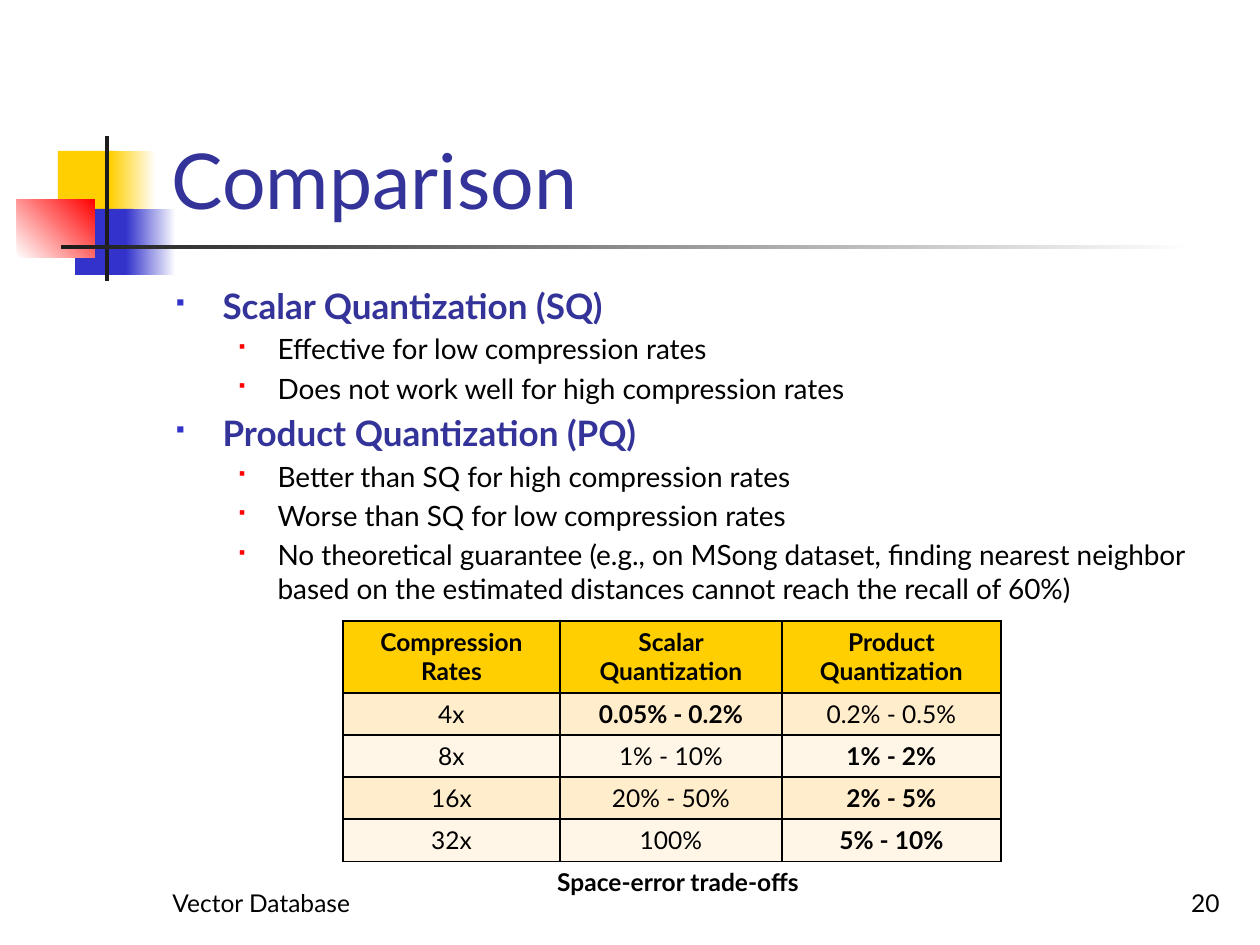
from lxml.etree import SubElement
from pptx import Presentation
from pptx.dml.color import RGBColor
from pptx.enum.shapes import MSO_SHAPE as Shape
from pptx.enum.text import MSO_ANCHOR as Anchor, MSO_AUTO_SIZE as AutoSize, PP_ALIGN as Align
from pptx.oxml.ns import qn
from pptx.util import Emu, Pt

PX_PER_INCH = 126
FONT = "Lato"
WHITE = RGBColor(0xFF, 0xFF, 0xFF)
BLACK = RGBColor(0, 0, 0)
CHARCOAL = RGBColor(0x1C, 0x1C, 0x1C)
GOLD = RGBColor(0xFF, 0xCF, 0x01)
BLUE = RGBColor(0x33, 0x33, 0xCC)
NAVY = RGBColor(0x33, 0x33, 0x99)
RED = RGBColor(0xFF, 0, 0)
SAND = RGBColor(0xFF, 0xED, 0xCC)
CREAM = RGBColor(0xFF, 0xF6, 0xE7)

# Per list level: indent px, hanging px, size, bold, colour, bullet colour, bullet %
LEVELS = [
    (47, 47, 20, True, NAVY, BLUE, 60),
    (102, 39, 16, False, BLACK, RED, 55),
]


def px(length):
    return Emu(round(length * 914400 / PX_PER_INCH))


class SlideBuilder:
    def __init__(self, deck):
        self.slide = deck.slides.add_slide(deck.slide_layouts[1])

    def add_text(self, paragraph, text, size, color=BLACK, bold=False, align=Align.LEFT):
        paragraph.alignment = align
        run = paragraph.add_run()
        run.text = text
        run.font.name = FONT
        run.font.size = Pt(size)
        run.font.bold = bold
        run.font.color.rgb = color

    def place(self, shape, box):
        shape.left, shape.top, shape.width, shape.height = map(px, box)

    def block(self, box, start, end=None, angle=0):
        block = self.slide.shapes.add_shape(Shape.RECTANGLE, *map(px, box))
        block.shadow.inherit = False
        block.line.fill.background()
        if end is None:
            block.fill.solid()
            block.fill.fore_color.rgb = start
            return
        block.fill.gradient()
        block.fill.gradient_angle = angle
        for stop, color, position in zip(block.fill.gradient_stops, (start, end), (0, 1)):
            stop.color.rgb = color
            stop.position = position

    def title(self, box, text):
        title = self.slide.shapes.title
        self.place(title, box)
        frame = title.text_frame
        frame.auto_size = AutoSize.NONE
        frame.vertical_anchor = Anchor.BOTTOM
        self.add_text(frame.paragraphs[0], text, 44, NAVY)

    def bullets(self, box, items):
        body = self.slide.placeholders[1]
        self.place(body, box)
        frame = body.text_frame
        frame.auto_size = AutoSize.NONE
        for index, (level, text) in enumerate(items):
            indent, hanging, size, bold, color, mark_color, mark_size = LEVELS[level]
            paragraph = frame.add_paragraph() if index else frame.paragraphs[0]
            paragraph.level = level
            paragraph.space_before = Pt(size * 0.2 if index else 0)
            props = paragraph._p.get_or_add_pPr()
            props.set("marL", str(px(indent)))
            props.set("indent", str(-px(hanging)))
            mark = SubElement(props, qn("a:buClr"))
            SubElement(mark, qn("a:srgbClr"), val=str(mark_color))
            SubElement(props, qn("a:buSzPct"), val=str(mark_size * 1000))
            SubElement(props, qn("a:buFont"), typeface="Wingdings")
            SubElement(props, qn("a:buChar"), char="§")
            self.add_text(paragraph, text, size, color, bold)

    def label(self, box, text, bold=False, align=Align.LEFT, anchor=Anchor.BOTTOM):
        frame = self.slide.shapes.add_textbox(*map(px, box)).text_frame
        frame.word_wrap = True
        frame.vertical_anchor = anchor
        self.add_text(frame.paragraphs[0], text, 14, bold=bold, align=align)

    def table(self, left, top, widths, heights, rows, bold_cells):
        box = (left, top, sum(widths), sum(heights))
        table = self.slide.shapes.add_table(len(rows), len(widths), *map(px, box)).table
        table.first_row = table.horz_banding = False
        for column, width in zip(table.columns, widths):
            column.width = px(width)
        for r, (values, height) in enumerate(zip(rows, heights)):
            table.rows[r].height = px(height)
            fill = GOLD if r == 0 else (CREAM, SAND)[r % 2]
            for c, text in enumerate(values):
                cell = table.cell(r, c)
                self.border(cell)
                cell.fill.solid()
                cell.fill.fore_color.rgb = fill
                bold = r == 0 or (r, c) in bold_cells
                self.add_text(cell.text_frame.paragraphs[0], text, 14, bold=bold, align=Align.CENTER)

    def border(self, cell):
        props = cell._tc.get_or_add_tcPr()
        for side in ("lnL", "lnR", "lnT", "lnB"):
            line = SubElement(props, qn(f"a:{side}"), w=str(Pt(1)))
            paint = SubElement(line, qn("a:solidFill"))
            SubElement(paint, qn("a:srgbClr"), val=str(BLACK))


def main():
    deck = Presentation()
    deck.slide_width, deck.slide_height = px(1260), px(945)
    page = SlideBuilder(deck)

    # Corner ornament and title rule
    page.block((58, 151, 60, 66), GOLD)
    page.block((110, 151, 46, 66), GOLD, WHITE)
    page.block((75, 209, 58, 66), BLUE)
    page.block((126, 209, 50, 66), BLUE, WHITE)
    page.block((17, 199, 78, 59), WHITE, RED, angle=45)
    page.block((105, 136, 4, 145), CHARCOAL)
    page.block((61, 245, 1134, 4), CHARCOAL, WHITE)

    # Title and comparison list
    page.title((159, 29, 1074, 202), "Comparison")
    page.bullets((163, 278, 1071, 567), [
        (0, "Scalar Quantization (SQ)"),
        (1, "Effective for low compression rates"),
        (1, "Does not work well for high compression rates"),
        (0, "Product Quantization (PQ)"),
        (1, "Better than SQ for high compression rates"),
        (1, "Worse than SQ for low compression rates"),
        (1, "No theoretical guarantee (e.g., on MSong dataset, finding nearest neighbor "
            "based on the estimated distances cannot reach the recall of 60%)"),
    ])

    # Footer
    page.label((160, 861, 262, 63), "Vector Database")
    page.label((970, 861, 262, 63), "20", align=Align.RIGHT)

    # Error by compression rate, the better method in bold
    page.table(343, 621, (217, 222, 219), (72, 42, 42, 42, 42), [
        ("Compression Rates", "Scalar Quantization", "Product Quantization"),
        ("4x", "0.05% - 0.2%", "0.2% - 0.5%"),
        ("8x", "1% - 10%", "1% - 2%"),
        ("16x", "20% - 50%", "2% - 5%"),
        ("32x", "100%", "5% - 10%"),
    ], bold_cells={(1, 1), (2, 2), (3, 2), (4, 2)})
    page.label((383, 861, 590, 43), "Space-error trade-offs", True, Align.CENTER, Anchor.TOP)

    deck.save("out.pptx")


if __name__ == "__main__":
    main()
